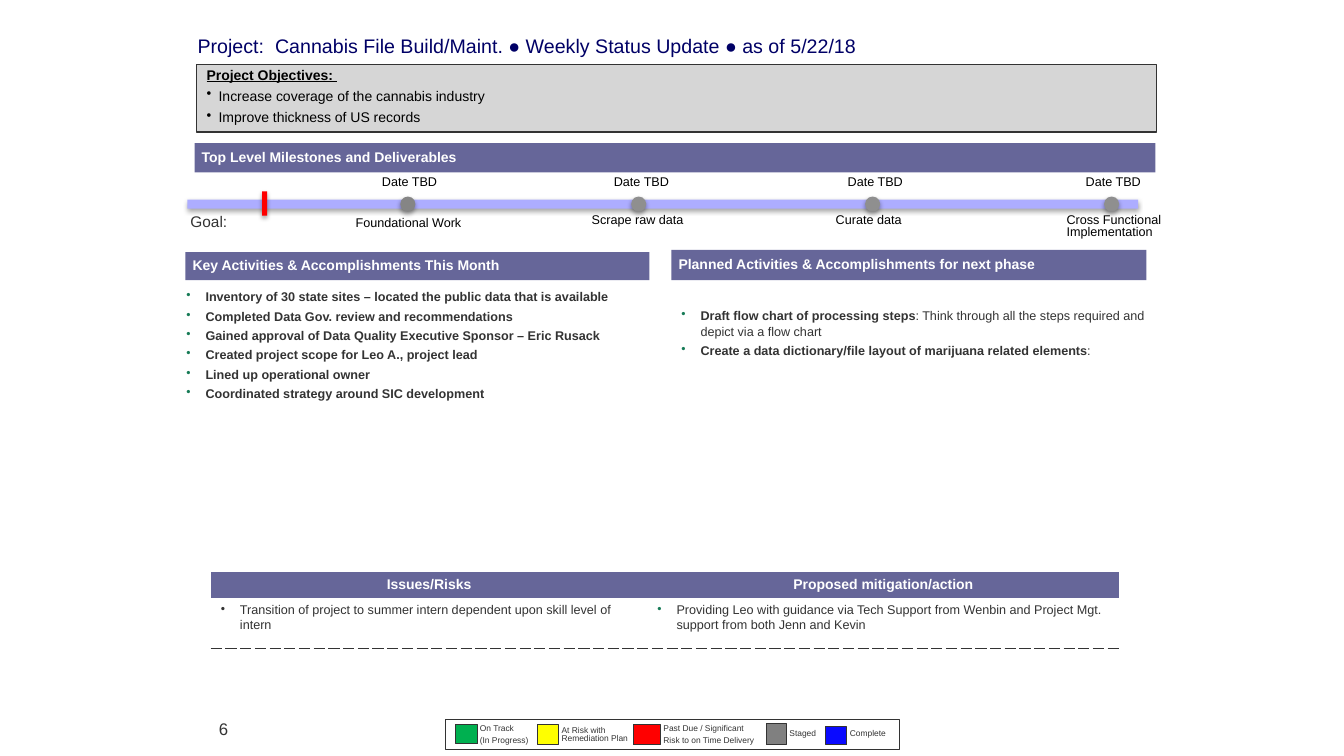
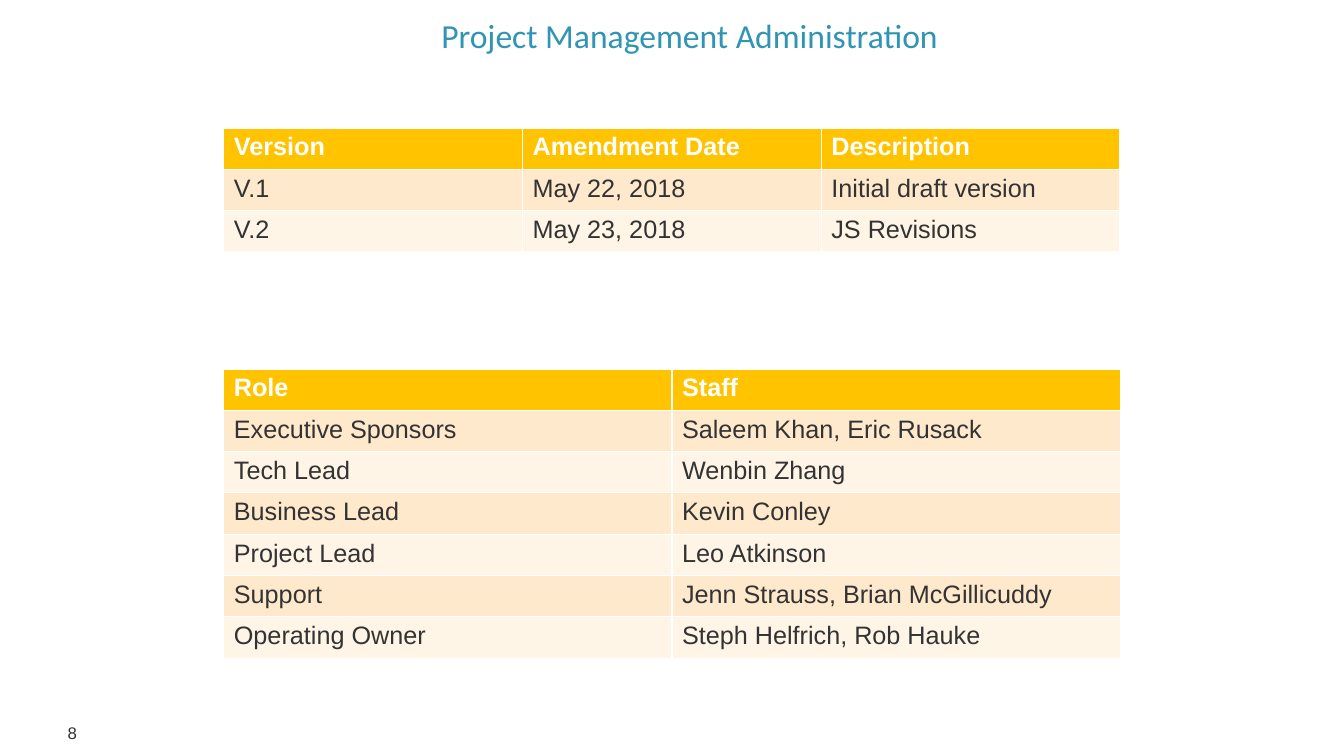
from pptx import Presentation
from pptx.dml.color import RGBColor
from pptx.enum.shapes import MSO_SHAPE as Kind
from pptx.enum.text import MSO_ANCHOR as Anchor, PP_ALIGN as Align
from pptx.oxml.ns import qn
from pptx.util import Inches, Pt
from lxml.etree import SubElement as Sub

INK, WHITE, BLACK, BAND = "333333", "FFFFFF", "000000", "666699"
GREEN, GOLD = "177B57", "FFC300"
STRIPES = ("FFE9CC", "FFF5E7")
PLAIN = "{2D5ABB26-0587-4C30-8999-92F81FD0307C}"


def rgb(code):
    """Turn a hex string into a colour."""
    return RGBColor.from_string(code)


def inch(box):
    """Turn a box of numbers into lengths."""
    return [Inches(n) for n in box]


def style(run, size, tone, bold=False, font="Arial"):
    """Format one run."""
    run.font.size, run.font.name, run.font.bold = Pt(size), font, bold
    run.font.color.rgb = rgb(tone)


def dot(par, hang, tone=None):
    """Give a paragraph a hanging bullet."""
    ppr = par._p.get_or_add_pPr()
    ppr.set("marL", str(Inches(hang)))
    ppr.set("indent", str(-Inches(hang)))
    if tone:
        Sub(Sub(ppr, qn("a:buClr")), qn("a:srgbClr")).set("val", tone)
    Sub(ppr, qn("a:buChar")).set("char", "•")


def fill_text(frame, lines, size, tone=INK, bold=False, lead=None, gap=0,
              font="Arial", align=Align.LEFT):
    """Write lines into a frame; a pair is a bold head and a plain tail."""
    pairs = [(n, "") if isinstance(n, str) else n for n in lines]
    frame.text = "\n".join(head for head, _ in pairs)
    for par, (_, tail) in zip(frame.paragraphs, pairs):
        par.alignment, par.space_before = align, Pt(gap)
        if lead:
            par.line_spacing = lead
        style(par.runs[0], size, tone, bold, font)
        if tail:
            run = par.add_run()
            run.text = tail
            style(run, size, tone)


def setup(frame, inset=(0.1, 0.05), anchor=Anchor.TOP):
    """Set wrap, margins and anchor of a frame."""
    frame.word_wrap, frame.vertical_anchor = True, anchor
    frame.margin_left = frame.margin_right = Inches(inset[0])
    frame.margin_top = frame.margin_bottom = Inches(inset[1])


def label(shapes, box, lines, size, inset=(0.1, 0.05), anchor=Anchor.TOP, **look):
    """Add a text box and return its frame."""
    frame = shapes.add_textbox(*inch(box)).text_frame
    setup(frame, inset, anchor)
    fill_text(frame, lines, size, **look)
    return frame


def block(shapes, box, tone, edge=None, kind=Kind.RECTANGLE, shade=False):
    """Add a filled shape, with an outline or soft shadow if asked."""
    shape = shapes.add_shape(kind, *inch(box))
    shape.shadow.inherit = False
    shape.fill.solid()
    shape.fill.fore_color.rgb = rgb(tone)
    if edge:
        shape.line.color.rgb, shape.line.width = rgb(edge), Pt(0.75)
    else:
        shape.line.fill.background()
    if shade:
        glow = Sub(shape._element.spPr.find(qn("a:effectLst")), qn("a:outerShdw"),
                   blurRad=str(Pt(3.1)), dist=str(Pt(1.8)), dir="5400000", rotWithShape="0")
        Sub(Sub(glow, qn("a:srgbClr"), val=BLACK), qn("a:alpha"), val="35000")
    return shape


def band(shapes, box, head):
    """Add a section heading bar."""
    frame = block(shapes, box, BAND).text_frame
    setup(frame, (0.07, 0.04), Anchor.MIDDLE)
    fill_text(frame, [head], 10, WHITE, True, 0.9)


def title(shapes, box, words, **look):
    """Add a slide title."""
    label(shapes, box, [words], inset=(0, 0), anchor=Anchor.MIDDLE, lead=0.9, **look)


def folio(shapes, box, number, lead=None):
    """Add the slide number."""
    label(shapes, box, [number], 12, (0, 0), lead=lead)


def grid(shapes, box, rows, wide, tall, tone, sizes, stripes=None, align=Align.LEFT):
    """Add a table with a coloured head row and return it."""
    table = shapes.add_table(len(rows), len(wide), *inch(box)).table
    for col, n in zip(table.columns, wide):
        col.width = Inches(n)
    for r, row in enumerate(rows):
        table.rows[r].height = Inches(tall[r])
        for c, words in enumerate(row):
            cell = table.cell(r, c)
            if r and not stripes:
                cell.fill.background()
            else:
                cell.fill.solid()
                cell.fill.fore_color.rgb = rgb(stripes[(r - 1) % 2] if r else tone)
            fill_text(cell.text_frame, [words], sizes[r > 0], INK if r else WHITE,
                      not r, align=Align.LEFT if r else align)
    return table


def aims(shapes, box):
    """Build the objectives panel."""
    frame = block(shapes, box, "D6D6D6", INK).text_frame
    setup(frame)
    fill_text(frame, ["Project Objectives: ", "Increase coverage of the cannabis industry",
                      "Improve thickness of US records"], 10, BLACK, lead=0.8, gap=5.5)
    head, *rest = frame.paragraphs
    head.runs[0].font.bold = head.runs[0].font.underline = True
    for par in rest:
        dot(par, 0.12)


def track(shapes, box):
    """Build the milestone timeline."""
    x, y, w, _ = box
    block(shapes, (x, y + 0.28, w, 0.09), "ADADFF", shade=True)
    label(shapes, (x - 0.07, y + 0.39, 0.65, 0.25), ["Goal:"], 11, lead=0.8)
    block(shapes, (x + 0.74, y + 0.2, 0.05, 0.24), "FF0000", shade=True)
    for spot, date, left, drop, wide, tall, name, tone in (
            (2.11, 1.83, 1.57, 0.41, 1.91, 0.22, "Foundational Work", "858585"),
            (4.4, 4.13, 3.91, 0.38, 1.39, 0.22, "Scrape raw data", "8F8F8F"),
            (6.72, 6.45, 6.33, 0.38, 1.35, 0.22, "Curate data", "8F8F8F"),
            (9.09, 8.81, 8.62, 0.38, 1.23, 0.34, "Cross Functional Implementation", "8F8F8F")):
        block(shapes, (x + spot, y + 0.25, 0.15, 0.15), tone, kind=Kind.OVAL, shade=True)
        label(shapes, (x + date, y, 0.9, 0.22), ["Date TBD"], 9, tone=BLACK, lead=0.8)
        label(shapes, (x + left, y + drop, wide, tall), [name], 9, tone=BLACK, lead=0.8)


def column(shapes, bar, body, head, items):
    """Build a headed list of activities."""
    band(shapes, bar, head)
    for par in label(shapes, body, items, 9, bold=True, gap=3).paragraphs:
        dot(par, 0.19, GREEN)


def risks(shapes, box):
    """Build the table of risks with a dashed foot."""
    rows = [("Issues/Risks", "Proposed mitigation/action"),
            ("Transition of project to summer intern dependent upon skill level of intern",
             "Providing Leo with guidance via Tech Support from Wenbin and Project Mgt. "
             "support from both Jenn and Kevin")]
    table = grid(shapes, box, rows, (4.33, 4.68), (0.26, 0.5), BAND, (10, 9),
                 align=Align.CENTER)
    table._tbl.tblPr.find(qn("a:tableStyleId")).text = PLAIN
    for c, tone in enumerate((None, GREEN)):
        table.cell(0, c).vertical_anchor = Anchor.MIDDLE
        cell = table.cell(1, c)
        dot(cell.text_frame.paragraphs[0], 0.19, tone)
        tcpr = cell._tc.get_or_add_tcPr()
        foot = Sub(tcpr, qn("a:lnB"), w=str(Pt(1)))
        tcpr.insert(0, foot)
        Sub(Sub(foot, qn("a:solidFill")), qn("a:srgbClr"), val=INK)
        Sub(foot, qn("a:prstDash"), val="dash")


def legend(shapes, box):
    """Build the status key as a group."""
    x, y, _, _ = box
    parts = shapes.add_group_shape().shapes
    block(parts, box, WHITE, INK)
    for swatch, note, tone, lines in (
            ((0.1, 0.05, 0.22, 0.19), (0.34, 0.05, 0.57, 0.21), "00B050",
             ["On Track", "(In Progress)"]),
            ((0.91, 0.05, 0.21, 0.2), (1.15, 0.07, 0.71, 0.16), "FFFF00",
             ["At Risk with Remediation Plan"]),
            ((1.86, 0.05, 0.27, 0.2), (2.16, 0.05, 1.02, 0.21), "FF0000",
             ["Past Due / Significant", "Risk to on Time Delivery"]),
            ((3.18, 0.04, 0.2, 0.21), (3.41, 0.1, 0.36, 0.08), "808080", ["Staged"]),
            ((3.77, 0.07, 0.21, 0.18), (4.01, 0.1, 0.42, 0.08), "0A0AFF", ["Complete"])):
        block(parts, (x + swatch[0], y + swatch[1], *swatch[2:]), tone, INK)
        label(parts, (x + note[0], y + note[1], *note[2:]), lines, 6, (0, 0),
              Anchor.MIDDLE, lead=0.8, gap=3)


def status(shapes):
    """Build the weekly status slide."""
    title(shapes, (1.96, 0.22, 9.72, 0.5),
          "Project:  Cannabis File Build/Maint. ● Weekly Status Update ● as of 5/22/18",
          size=14, tone="000066")
    aims(shapes, (1.95, 0.64, 9.52, 0.67))
    band(shapes, (1.93, 1.42, 9.53, 0.29), "Top Level Milestones and Deliverables")
    track(shapes, (1.86, 1.7, 9.43, 0.72))
    column(shapes, (1.84, 2.5, 4.6, 0.28), (1.75, 2.82, 4.82, 1.41),
           "Key Activities & Accomplishments This Month",
           ["Inventory of 30 state sites – located the public data that is available",
            "Completed Data Gov. review and recommendations",
            "Gained approval of Data Quality Executive Sponsor – Eric Rusack",
            "Created project scope for Leo A., project lead",
            "Lined up operational owner",
            "Coordinated strategy around SIC development"])
    column(shapes, (6.66, 2.48, 4.71, 0.3), (6.66, 3.01, 4.87, 0.81),
           "Planned Activities & Accomplishments for next phase",
           [("Draft flow chart of processing steps",
             ": Think through all the steps required and depict via a flow chart"),
            ("Create a data dictionary/file layout of marijuana related elements", ":")])
    risks(shapes, (2.09, 5.67, 9.01, 0.76))
    folio(shapes, (2.17, 7.17, 0.5, 0.33), "6", 0.8)
    legend(shapes, (4.42, 7.14, 4.5, 0.3))


def admin(shapes):
    """Build the administration slide."""
    title(shapes, (1.41, 0, 10.86, 0.75), "Project Management Administration",
          size=24, tone="3095B4", font="Calibri", align=Align.CENTER)
    for top, rows in (
            (1.27, [("Version", "Amendment Date", "Description"),
                    ("V.1", "May 22, 2018", "Initial draft version"),
                    ("V.2", "May 23, 2018", "JS Revisions")]),
            (3.66, [("Role", "Staff"),
                    ("Executive Sponsors", "Saleem Khan, Eric Rusack"),
                    ("Tech Lead", "Wenbin Zhang"),
                    ("Business Lead", "Kevin Conley"),
                    ("Project Lead", "Leo Atkinson"),
                    ("Support", "Jenn Strauss, Brian McGillicuddy"),
                    ("Operating Owner", "Steph Helfrich, Rob Hauke")])):
        count, span = len(rows), len(rows[0])
        grid(shapes, (2.22, top, 8.89, 0.41 * count), rows, [8.89 / span] * span,
             [0.41] * count, GOLD, (18, 18), STRIPES)
    folio(shapes, (0.67, 7.17, 0.67, 0.33), "8")


deck = Presentation()
deck.slide_width, deck.slide_height = Inches(13.33), Inches(7.5)
for build in (status, admin):
    build(deck.slides.add_slide(deck.slide_layouts[6]).shapes)
deck.save("out.pptx")
